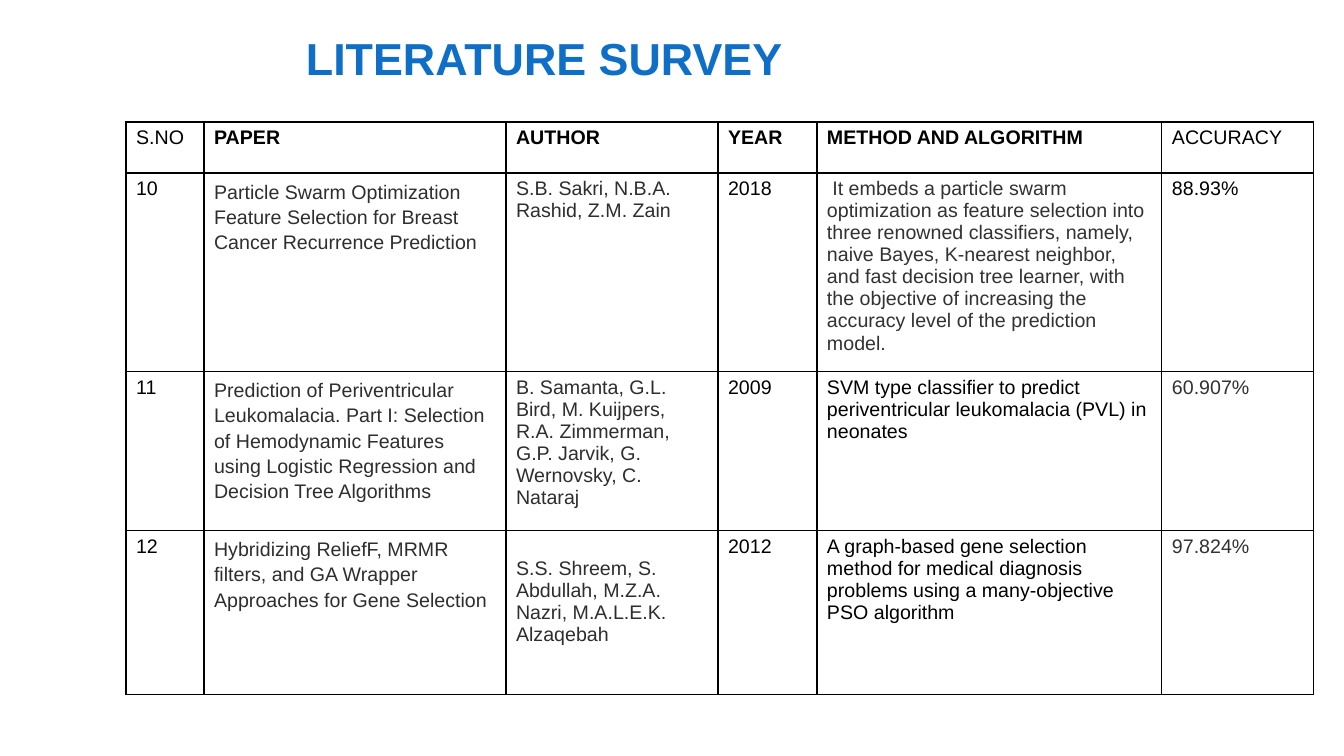
from lxml.etree import SubElement as Sub
from pptx import Presentation
from pptx.dml.color import RGBColor as RGB
from pptx.enum.text import MSO_ANCHOR as Anchor
from pptx.oxml.ns import qn
from pptx.util import Pt

BLUE = RGB(0x0F, 0x6F, 0xC6)
BLACK = RGB(0, 0, 0)
DARK = RGB(0x2E, 0x2E, 0x2E)
GRAY = RGB(0x32, 0x32, 0x32)
WHITE = RGB(255, 255, 255)

COLS = [78, 302, 212, 99, 345, 152]
ROWS = [51, 186, 159, 164]
HEADS = ["S.NO", "PAPER", "AUTHOR", "YEAR", "METHOD AND ALGORITHM", "ACCURACY"]
PLAIN = ("S.NO", "ACCURACY")
PAPERS = [
    ("10",
     "Particle Swarm Optimization Feature Selection for Breast Cancer "
     "Recurrence Prediction",
     "S.B. Sakri, N.B.A. Rashid, Z.M. Zain",
     "2018",
     " It embeds a particle swarm optimization as feature selection into three "
     "renowned classifiers, namely, naive Bayes, K-nearest neighbor, and fast "
     "decision tree learner, with the objective of increasing the accuracy "
     "level of the prediction model.",
     "88.93%"),
    ("11",
     "Prediction of Periventricular Leukomalacia. Part I: Selection of "
     "Hemodynamic Features using Logistic Regression and Decision Tree Algorithms",
     "B. Samanta, G.L. Bird, M. Kuijpers, R.A. Zimmerman, G.P. Jarvik, "
     "G. Wernovsky, C. Nataraj",
     "2009",
     "SVM type classifier to predict periventricular leukomalacia (PVL) in neonates",
     "60.907%"),
    ("12",
     "Hybridizing ReliefF, MRMR filters, and GA Wrapper Approaches for "
     "Gene Selection",
     "S.S. Shreem, S. Abdullah, M.Z.A. Nazri, M.A.L.E.K. Alzaqebah",
     "2012",
     "A graph-based gene selection method for medical diagnosis problems using "
     "a many-objective PSO algorithm",
     "97.824%"),
]
INKS = [BLACK, DARK, DARK, BLACK, BLACK, GRAY]
# Cells whose ink differs from that of their column
ODD = {(1, 4): GRAY, (1, 5): BLACK}


def px(n):
    return round(n * 12192000 / 1344)


def write(frame, text, size=14, color=BLACK, bold=False, space=None, font="Arial"):
    para = frame.paragraphs[0]
    para.line_spacing = space
    run = para.add_run()
    run.text = text
    run.font.name = font
    run.font.size = Pt(size)
    run.font.bold = bold
    run.font.color.rgb = color


class Page:
    def __init__(self, deck):
        self.slide = deck.slides.add_slide(deck.slide_layouts[6])
        self.line = BLACK
        self.fill = WHITE

    def title(self, text, x, y, w, h):
        frame = self.slide.shapes.add_textbox(px(x), px(y), px(w), px(h)).text_frame
        frame.word_wrap = True
        frame.vertical_anchor = Anchor.BOTTOM
        frame.margin_left = frame.margin_right = frame.margin_bottom = 0
        write(frame, text, size=32, color=BLUE, bold=True)

    def table(self, x, y, cols, rows):
        shape = self.slide.shapes.add_table(
            len(rows), len(cols), px(x), px(y), px(sum(cols)), px(sum(rows)))
        grid = shape.table
        grid.first_row = grid.horz_banding = False
        for col, wide in zip(grid.columns, cols):
            col.width = px(wide)
        for row, high in zip(grid.rows, rows):
            row.height = px(high)
        return grid

    def cell(self, cell, text, base=1, **form):
        # Borders come before the fill in the cell's properties
        prop = cell._tc.get_or_add_tcPr()
        for side, wide in zip("LRTB", (1, 1, 1, base)):
            edge = Sub(prop, qn(f"a:ln{side}"), w=str(Pt(wide)))
            Sub(Sub(edge, qn("a:solidFill")), qn("a:srgbClr"), val=str(self.line))
        cell.fill.solid()
        cell.fill.fore_color.rgb = self.fill
        write(cell.text_frame, text, **form)


def main():
    deck = Presentation()
    deck.slide_width, deck.slide_height = px(1344), px(756)
    page = Page(deck)
    page.title("LITERATURE SURVEY", 306, 12, 1000, 73)

    # Header row
    grid = page.table(126, 122, COLS, ROWS)
    for c, head in enumerate(HEADS):
        page.cell(grid.cell(0, c), head, base=2, bold=head not in PLAIN)

    # One row for each paper
    for r, paper in enumerate(PAPERS, 1):
        for c, text in enumerate(paper):
            page.cell(grid.cell(r, c), text, color=ODD.get((r, c), INKS[c]),
                      space=1.15 if c == 1 else None)

    # The last authors sit one line lower
    grid.cell(3, 2).margin_top = px(27)
    deck.save("out.pptx")


if __name__ == "__main__":
    main()
